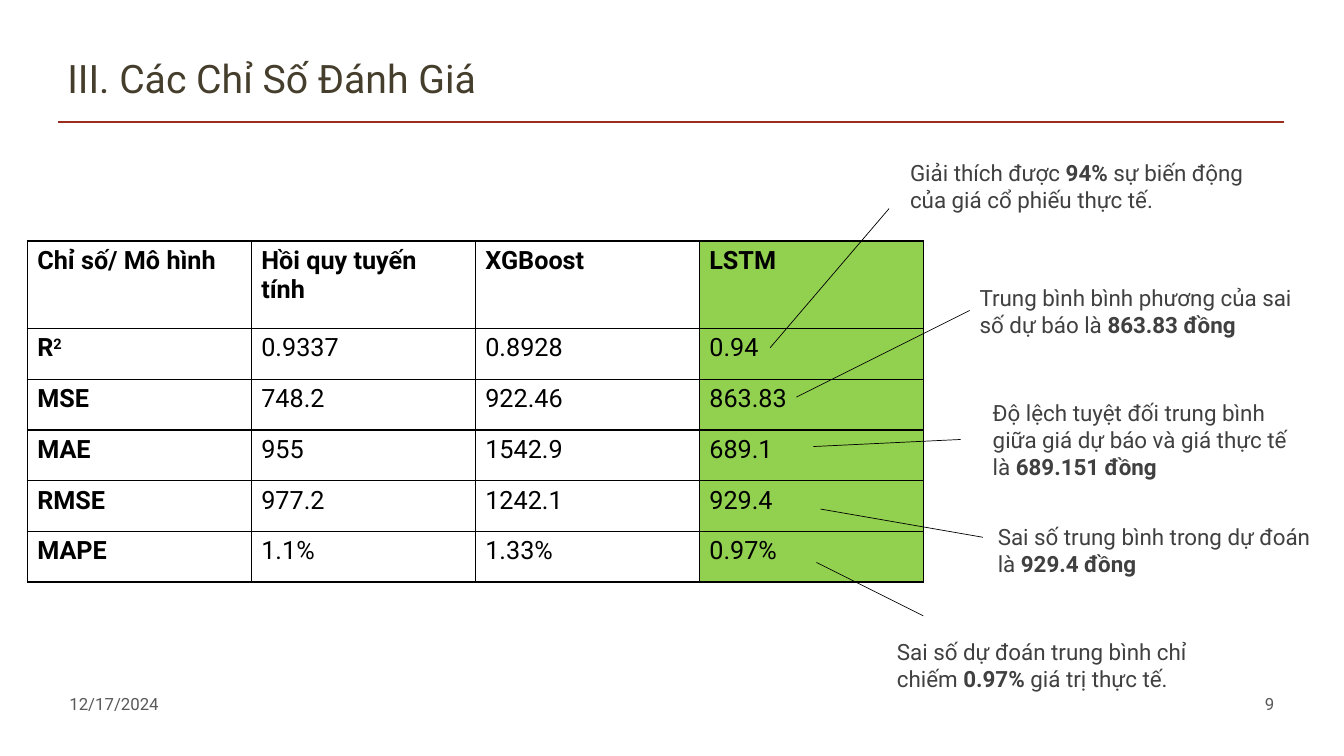
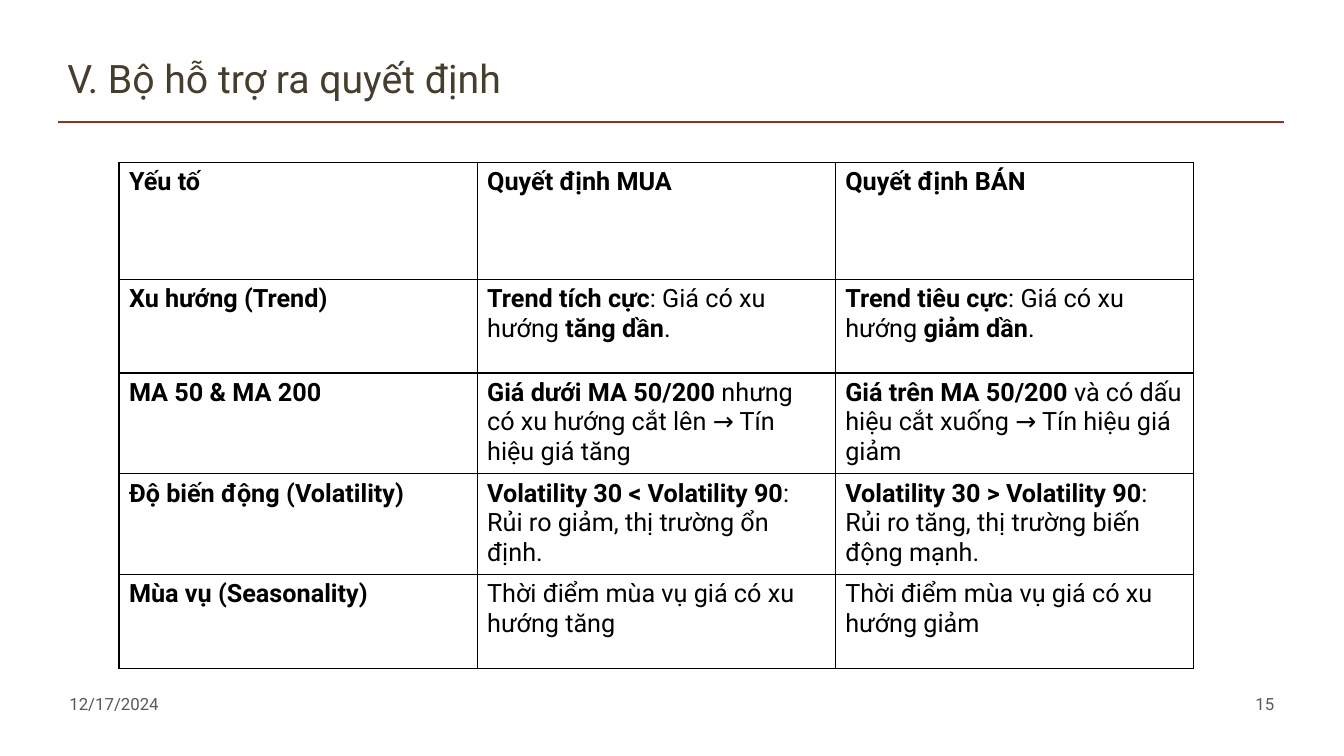
from dataclasses import dataclass

import pptx
import pptx.dml.color
import pptx.enum.shapes
import pptx.enum.text
import pptx.oxml
import pptx.oxml.ns
import pptx.util
from lxml import etree

ALIGN = pptx.enum.text.PP_ALIGN
ANCHOR = pptx.enum.text.MSO_ANCHOR


@dataclass(frozen=True)
class Theme:
    font: str = "Roboto"
    title: str = "463E2C"
    rule: str = "9B2D1F"
    footer: str = "595959"
    note: str = "404040"
    ink: str = "000000"
    paper: str = "FFFFFF"
    highlight: str = "92D050"
    title_pt: float = 28
    cell_pt: float = 18
    note_pt: float = 16
    footer_pt: float = 12


@dataclass(frozen=True)
class Box:
    """Area in grid units: columns and rows, ten to the inch."""
    col: float
    row: float
    cols: float
    rows: float


@dataclass(frozen=True)
class Note:
    box: Box
    start: tuple[float, float]
    end: tuple[float, float]
    text: str


@dataclass(frozen=True)
class Grid:
    box: Box
    header_rows: float
    body_rows: float
    cells: list[list[str]]
    highlight_col: int | None = None


@dataclass(frozen=True)
class Page:
    title: str
    number: int
    table: Grid
    notes: tuple[Note, ...] = ()


THEME = Theme()
COLS, ROWS = 133.33, 75
DATE = "12/17/2024"


def unit(n: float) -> int:
    return pptx.util.Inches(n / 10)


def rgb(color: str) -> pptx.dml.color.RGBColor:
    return pptx.dml.color.RGBColor.from_string(color)


# Text: **bold** and a superscript after ^
def write(p, text: str, size: float, color: str, bold: bool = False) -> None:
    p.font.name, p.font.size = THEME.font, pptx.util.Pt(size)
    p.font.color.rgb = rgb(color)
    p.font.bold = bold
    for i, part in enumerate(text.split("**")):
        base, _, raised = part.partition("^")
        for words in filter(None, (base, raised)):
            r = p.add_run()
            r.text = words
            if i % 2:
                r.font.bold = True
        if raised:
            r.font._element.set("baseline", "30000")


def add_text(s, box: Box, text: str, size: float, color: str,
             align=ALIGN.LEFT, anchor=ANCHOR.TOP) -> None:
    sp = s.shapes.add_textbox(*map(unit, (box.col, box.row, box.cols, box.rows)))
    tf = sp.text_frame
    tf.word_wrap, tf.vertical_anchor = True, anchor
    p = tf.paragraphs[0]
    p.alignment = align
    write(p, text, size, color)


def add_line(s, start: tuple[float, float], end: tuple[float, float],
             color: str, width: float) -> None:
    line = s.shapes.add_connector(pptx.enum.shapes.MSO_CONNECTOR.STRAIGHT,
                                  *map(unit, start + end))
    line.line.color.rgb = rgb(color)
    line.line.width = pptx.util.Pt(width)
    etree.SubElement(line._element.spPr, pptx.oxml.ns.qn("a:effectLst"))


def add_borders(cell, color: str, width: float) -> None:
    props = cell._tc.get_or_add_tcPr()
    for side in ("lnL", "lnR", "lnT", "lnB"):
        props.append(pptx.oxml.parse_xml(
            f'<a:{side} {pptx.oxml.ns.nsdecls("a")} w="{pptx.util.Pt(width)}">'
            f'<a:solidFill><a:srgbClr val="{color}"/></a:solidFill></a:{side}>'))


def add_grid(s, grid: Grid) -> None:
    box, cells = grid.box, grid.cells
    table = s.shapes.add_table(
        len(cells), len(cells[0]),
        *map(unit, (box.col, box.row, box.cols, box.rows))).table
    table.first_row = table.horz_banding = False
    for column in table.columns:
        column.width = unit(box.cols / len(cells[0]))
    for i, texts in enumerate(cells):
        table.rows[i].height = unit(grid.body_rows if i else grid.header_rows)
        for j, text in enumerate(texts):
            cell = table.cell(i, j)
            add_borders(cell, THEME.ink, 1)
            cell.fill.solid()
            cell.fill.fore_color.rgb = rgb(
                THEME.highlight if j == grid.highlight_col else THEME.paper)
            write(cell.text_frame.paragraphs[0], text, THEME.cell_pt, THEME.ink,
                  bold=i == 0 or j == 0)


# Title, rule and footers shared by every slide
def add_frame(s, title: str, number: int) -> None:
    add_line(s, (5.8, 12.1), (127.4, 12.1), THEME.rule, 2)
    add_text(s, Box(5.7, 4.9, 122.6, 6.1), title, THEME.title_pt, THEME.title)
    for col, text, align in ((5.9, DATE, ALIGN.LEFT),
                             (91.6, str(number), ALIGN.RIGHT)):
        add_text(s, Box(col, 67.8, 35.8, 4), text, THEME.footer_pt,
                 THEME.footer, align, ANCHOR.MIDDLE)


def add_page(prs, page: Page) -> None:
    s = prs.slides.add_slide(prs.slide_layouts[6])
    add_frame(s, page.title, page.number)
    add_grid(s, page.table)
    for note in page.notes:
        add_line(s, note.start, note.end, THEME.ink, 0.5)
        add_text(s, note.box, note.text, THEME.note_pt, THEME.note)


# Content
METRICS = Page(
    "III. Các Chỉ Số Đánh Giá", 9,
    Grid(Box(2.7, 23.9, 88.9, 33.8), 8.7, 5.03, [
        ["Chỉ số/ Mô hình", "Hồi quy tuyến tính", "XGBoost", "LSTM"],
        ["R^2", "0.9337", "0.8928", "0.94"],
        ["MSE", "748.2", "922.46", "863.83"],
        ["MAE", "955", "1542.9", "689.1"],
        ["RMSE", "977.2", "1242.1", "929.4"],
        ["MAPE", "1.1%", "1.33%", "0.97%"],
    ], highlight_col=3),
    (
        Note(Box(89.3, 15.3, 35.7, 6.1), (76.4, 34.5), (88.2, 20.7),
             "Giải thích được **94%** sự biến động của giá cổ phiếu thực tế."),
        Note(Box(96.2, 27.7, 35.8, 6.1), (79, 39.4), (96.2, 30.8),
             "Trung bình bình phương của sai số dự báo là **863.83 đồng**"),
        Note(Box(97.5, 39.1, 33.2, 8.4), (80.7, 44.3), (95.3, 43.6),
             "Độ lệch tuyệt đối trung bình giữa giá dự báo và giá thực tế "
             "là **689.151 đồng**"),
        Note(Box(98, 51.4, 33.2, 6.1), (81.4, 50.5), (97.5, 53.3),
             "Sai số trung bình trong dự đoán là **929.4 đồng**"),
        Note(Box(88, 62.8, 35.8, 6.1), (81, 55.8), (91.6, 61.1),
             "Sai số dự đoán trung bình chỉ chiếm **0.97% **giá trị thực tế."),
    ))

DECISIONS = Page(
    "V. Bộ hỗ trợ ra quyết định", 15,
    Grid(Box(11.8, 16.1, 106.6, 48.8), 11.6, 9.3, [
        ["Yếu tố", "Quyết định MUA", "Quyết định BÁN"],
        ["Xu hướng (Trend)",
         "**Trend tích cực**: Giá có xu hướng **tăng dần**.",
         "**Trend tiêu cực**: Giá có xu hướng **giảm dần**."],
        ["MA 50 & MA 200",
         "**Giá dưới MA 50/200** nhưng có xu hướng cắt lên → Tín hiệu giá tăng",
         "**Giá trên MA 50/200 **và có dấu hiệu cắt xuống → Tín hiệu giá giảm"],
        ["Độ biến động (Volatility)",
         "**Volatility 30 < Volatility 90**: Rủi ro giảm, thị trường ổn định.",
         "**Volatility 30 > Volatility 90**: Rủi ro tăng, thị trường biến động mạnh."],
        ["Mùa vụ (Seasonality)",
         "Thời điểm mùa vụ giá có xu hướng tăng",
         "Thời điểm mùa vụ giá có xu hướng giảm"],
    ]))


def main() -> None:
    prs = pptx.Presentation()
    prs.slide_width, prs.slide_height = unit(COLS), unit(ROWS)
    for page in (METRICS, DECISIONS):
        add_page(prs, page)
    prs.save("out.pptx")


if __name__ == "__main__":
    main()
